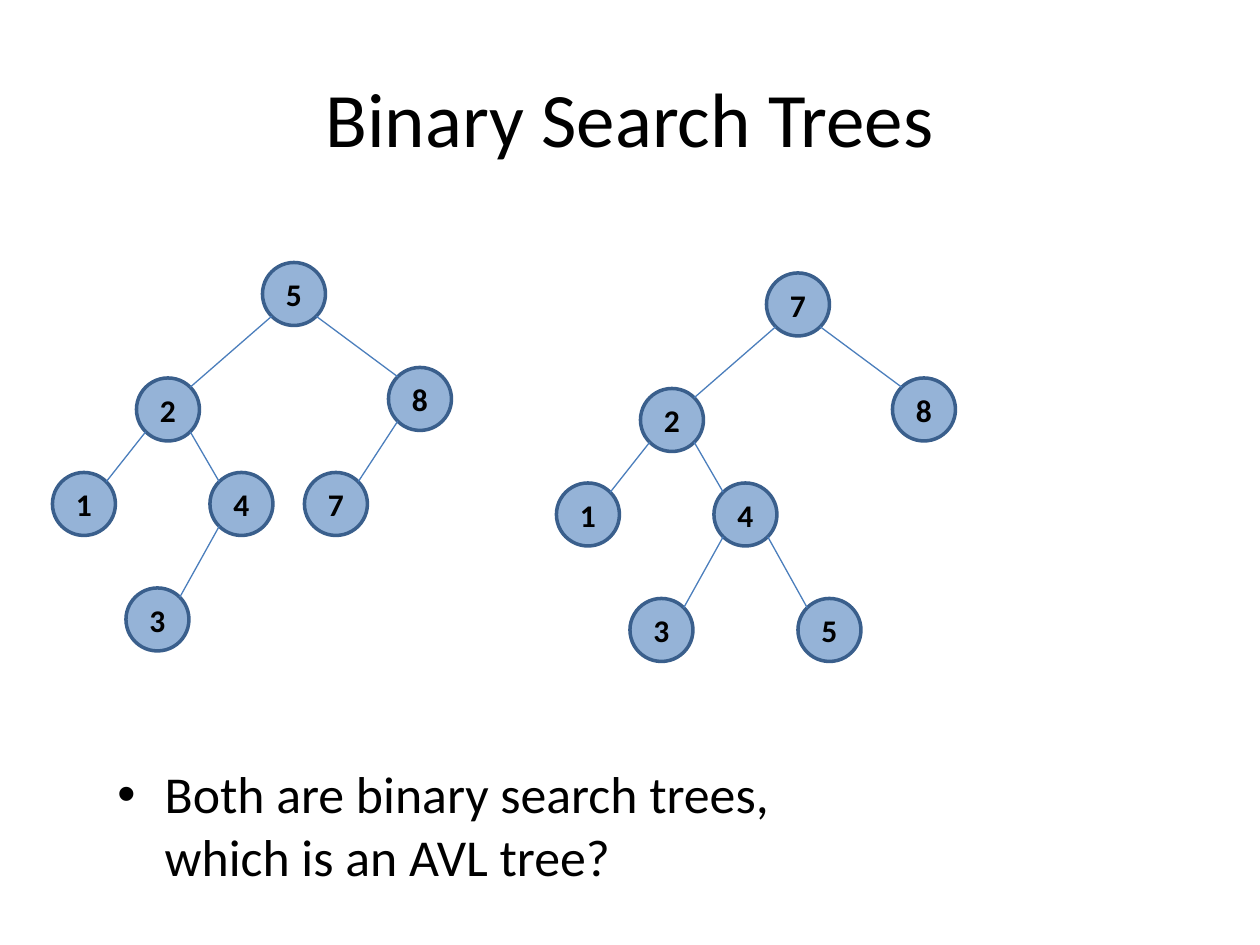
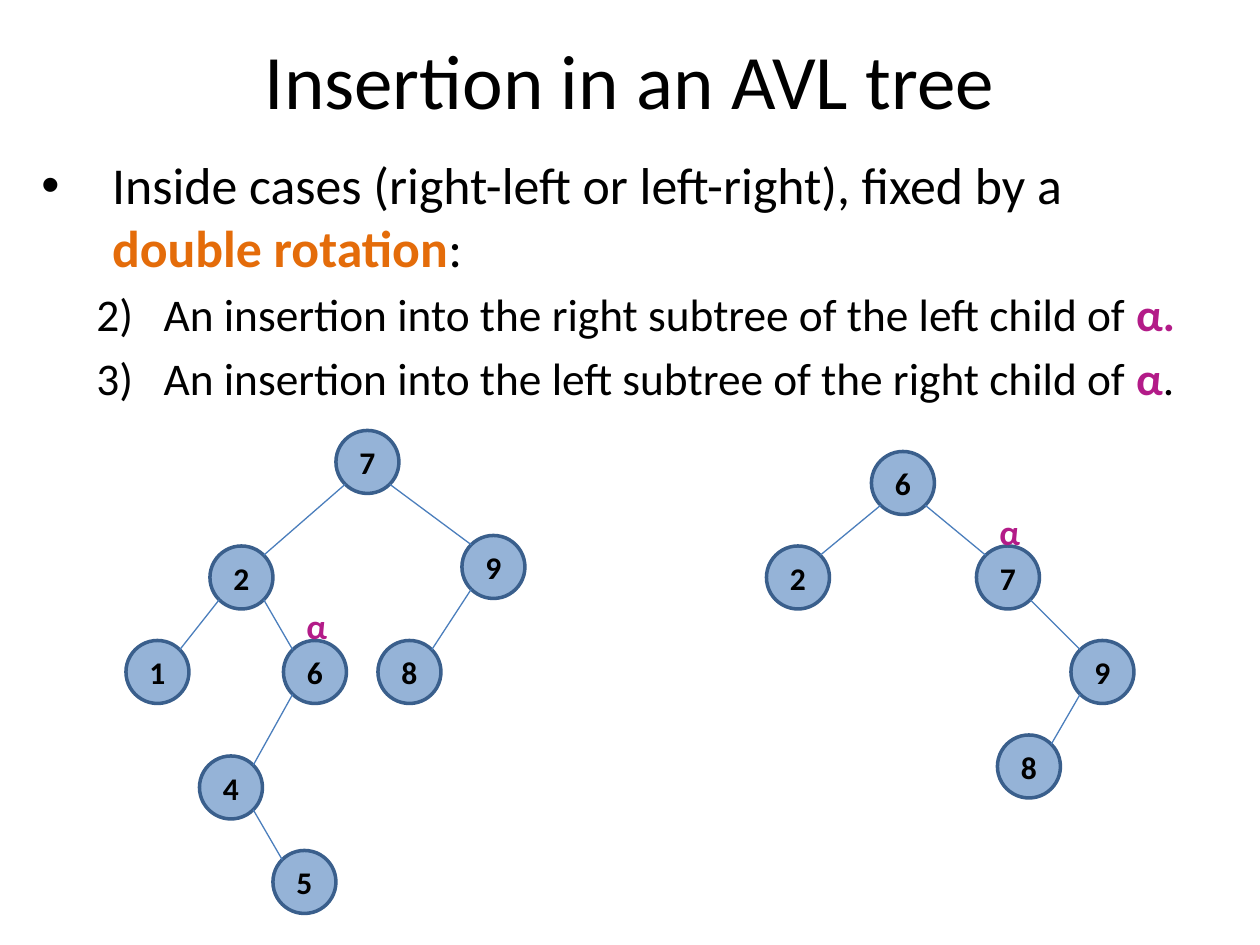
from lxml import etree
from pptx import Presentation
from pptx.dml.color import RGBColor
from pptx.enum.shapes import MSO_CONNECTOR, MSO_SHAPE
from pptx.enum.text import MSO_ANCHOR, PP_ALIGN
from pptx.oxml.ns import qn
from pptx.util import Cm, Pt

OVAL, LINE = MSO_SHAPE.OVAL, MSO_CONNECTOR.STRAIGHT
MIDDLE, CENTER = MSO_ANCHOR.MIDDLE, PP_ALIGN.CENTER

FONT = "Calibri"
HEX = {"text": "000000", "node": "95B3D7", "rim": "3A5F8C", "edge": "4B7EBC",
       "key": "E46C0A", "alpha": "B31B88"}

# Grid: every place is counted in twelfths of an inch
UNIT = 2.54 / 12
SIDE = 6                    # node diameter
DIAG = SIDE / 2 * 0.5 ** 0.5  # centre to the diagonal point of the rim
BREAK = ("\v", "text")

# Content. Tree rows: label, parent, left, top
# Text rows: left indent, hanging, size, bullet, pieces (text, colour)
SLIDES = [
    {
        "title": "Binary Search Trees", "top": 3.6,
        "body": (10, 72, 77, 11),
        "text": [(4.5, 4.5, 29.6, True, [
            ("Both are binary search trees, which is an AVL tree?", "text")])],
        "trees": [
            [("5", None, 25, 25), ("8", "5", 37, 35), ("2", "5", 13, 36),
             ("1", "2", 5, 45), ("4", "2", 20, 45), ("3", "4", 12, 56),
             ("7", "8", 29, 45)],
            [("7", None, 73, 26), ("8", "7", 85, 36), ("2", "7", 61, 37),
             ("1", "2", 53, 46), ("4", "2", 68, 46), ("3", "4", 60, 57),
             ("5", "4", 76, 57)],
        ],
        "alphas": [],
    },
    {
        "title": "Insertion in an AVL tree", "top": 0,
        "body": (2, 14, 118, 30),
        "text": [
            (7.5, 6.75, 29.6, True, [
                ("Inside cases (right-left or left-right), fixed by a", "text"),
                BREAK, ("double rotation", "key"), (":", "text")]),
            (12.4, 6.4, 25.9, False, [
                ("2)\tAn insertion into the right subtree of the left child of ",
                 "text"), ("α.", "alpha")]),
            (12.4, 6.4, 25.9, False, [
                ("3)\tAn insertion into the left subtree of the right child of ",
                 "text"), ("α", "alpha"), (".", "text")]),
        ],
        "trees": [
            [("7", None, 32, 41), ("9", "7", 44, 51), ("2", "7", 20, 52),
             ("1", "2", 12, 61), ("6", "2", 27, 61), ("8", "9", 36, 61),
             ("4", "6", 19, 72), ("5", "4", 26, 81)],
            [("6", None, 83, 43), ("7", "6", 93, 52), ("2", "6", 73, 52),
             ("9", "7", 102, 61), ("8", "9", 95, 70)],
        ],
        "alphas": [(0, "6"), (1, "7")],  # tree number, marked node
    },
]


def grid(*nums):
    return [Cm(n * UNIT) for n in nums]


def tint(name):
    return RGBColor.from_string(HEX[name])


def style(run, size, color="text", bold=False):
    font = run.font
    font.name, font.size, font.bold = FONT, Pt(size), bold
    font.color.rgb = tint(color)


def label(slide, box, text, size, color="text", bold=False):
    frame = slide.shapes.add_textbox(*grid(*box)).text_frame
    frame.word_wrap = True
    frame.text = text
    style(frame.paragraphs[0].runs[0], size, color, bold)
    return frame


def add_title(slide, text, top):
    frame = label(slide, (6, top, 108, 15), text, 44)
    frame.vertical_anchor = MIDDLE
    frame.paragraphs[0].alignment = CENTER


def add_body(slide, box, rows):
    frame = slide.shapes.add_textbox(*grid(*box)).text_frame
    frame.word_wrap = True
    for i, (left, hang, size, dot, parts) in enumerate(rows):
        para = frame.add_paragraph() if i else frame.paragraphs[0]
        para.space_before = Pt(size * 0.2)
        prop = para._p.get_or_add_pPr()
        prop.set("marL", str(Cm(left * UNIT)))
        prop.set("indent", str(-Cm(hang * UNIT)))
        if dot:
            etree.SubElement(prop, qn("a:buFont")).set("typeface", "Arial")
            etree.SubElement(prop, qn("a:buChar")).set("char", "•")
        else:
            etree.SubElement(prop, qn("a:buNone"))
        for part in parts:
            if part == BREAK:
                para.add_line_break()
                continue
            text, color = part
            run = para.add_run()
            run.text = text
            style(run, size, color, color != "text")


def add_node(slide, text, x, y):
    node = slide.shapes.add_shape(OVAL, *grid(x, y, SIDE, SIDE))
    node.shadow.inherit = False
    node.fill.solid()
    node.fill.fore_color.rgb = tint("node")
    node.line.color.rgb = tint("rim")
    node.line.width = Pt(2)
    frame = node.text_frame
    frame.margin_left = frame.margin_right = 0
    frame.vertical_anchor = MIDDLE
    frame.text = text
    para = frame.paragraphs[0]
    para.alignment = CENTER
    style(para.runs[0], 18, bold=True)


def add_edge(slide, up, down):
    """Join the lower rim of the parent to the upper rim of the child."""
    (x1, y1), (x2, y2) = [(x + SIDE / 2, y + SIDE / 2) for x, y in (up, down)]
    dx = DIAG if x2 > x1 else -DIAG
    edge = slide.shapes.add_connector(
        LINE, *grid(x1 + dx, y1 + DIAG, x2 - dx, y2 - DIAG))
    edge.line.color.rgb = tint("edge")
    edge.line.width = Pt(0.75)
    etree.SubElement(edge._element.spPr, qn("a:effectLst"))


def add_tree(slide, rows):
    spots = {name: (x, y) for name, _, x, y in rows}
    for name, up, x, y in rows:
        add_node(slide, name, x, y)
        if up:
            add_edge(slide, spots[up], spots[name])
    return spots


# Build
deck = Presentation()
deck.slide_width, deck.slide_height = grid(120, 90)
for data in SLIDES:
    slide = deck.slides.add_slide(deck.slide_layouts[6])
    add_title(slide, data["title"], data["top"])
    add_body(slide, data["body"], data["text"])
    trees = [add_tree(slide, rows) for rows in data["trees"]]
    for num, name in data["alphas"]:
        x, y = trees[num][name]
        label(slide, (x + 1, y - 4, 5, 5.25), "α", 20, "alpha", True)
deck.save("out.pptx")
